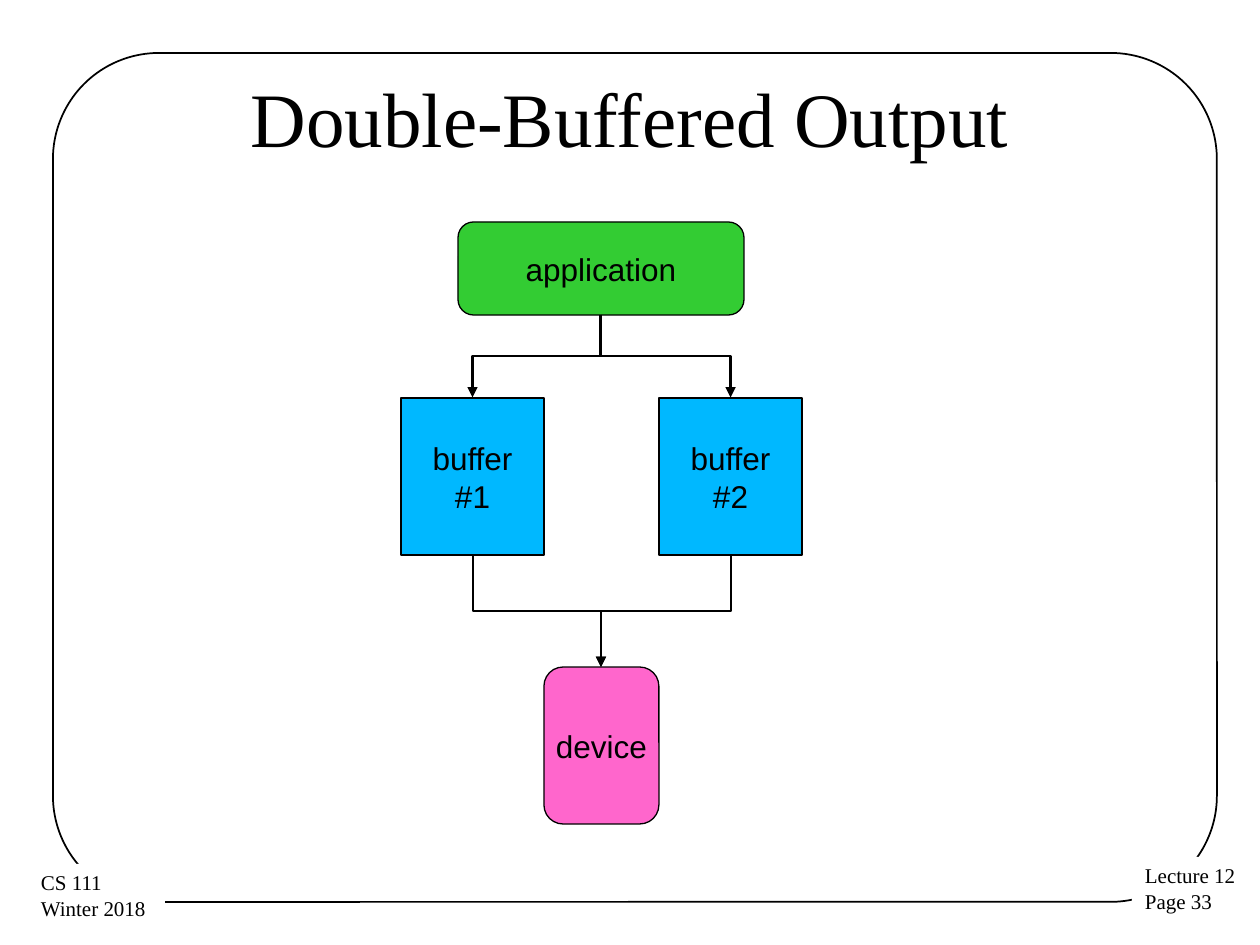
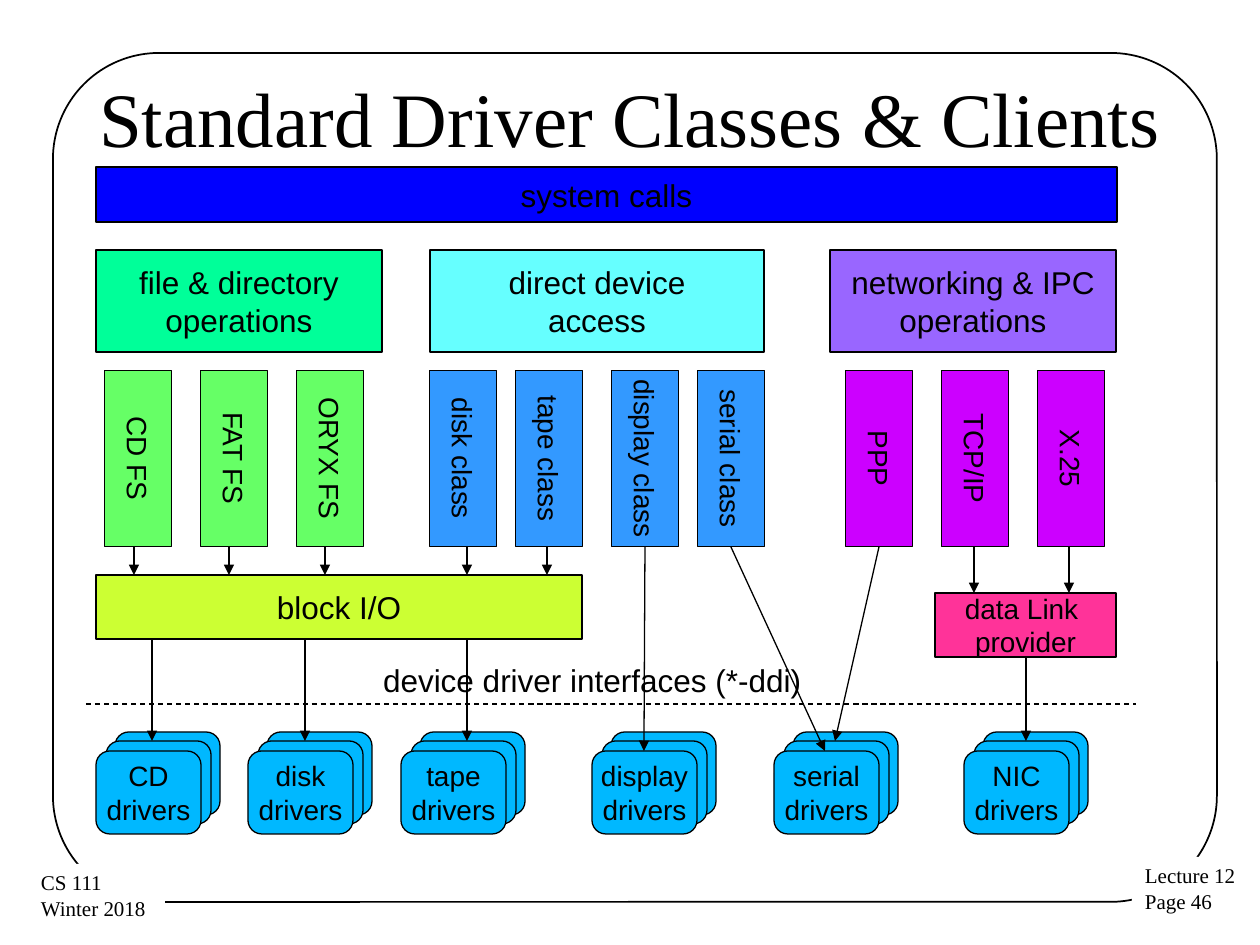
from pptx import Presentation
from pptx.dml.color import RGBColor
from pptx.enum.dml import MSO_LINE
from pptx.enum.shapes import MSO_CONNECTOR, MSO_SHAPE
from pptx.enum.text import MSO_ANCHOR, PP_ALIGN
from pptx.oxml.ns import qn
from pptx.util import Pt
from lxml.etree import SubElement

PX = 914400 // 126
SERIF, SANS = "Times New Roman", "Arial"
COLORS = {
    "ink": "000000", "paper": "FFFFFF", "buffer": "00B8FF",
    "application": "33CC33", "device": "FF66CC", "system": "0000FF",
    "files": "00FF99", "direct": "66FFFF", "network": "9966FF",
    "file system": "66FF66", "class": "3399FF", "protocol": "CC00FF",
    "block": "CCFF33", "link": "FF3399",
}
RECT, ROUND = MSO_SHAPE.RECTANGLE, MSO_SHAPE.ROUNDED_RECTANGLE


def add_box(slide, form, place, fill=None, lines=(), size=18, font=SANS, border=0.75,
            align=PP_ALIGN.CENTER, anchor=MSO_ANCHOR.MIDDLE, inset=(11, 5), turn=0):
    box = slide.shapes.add_shape(form, *[length * PX for length in place])
    box.shadow.inherit = False
    box.rotation = turn
    if fill:
        box.fill.solid()
        box.fill.fore_color.rgb = RGBColor.from_string(COLORS[fill])
    else:
        box.fill.background()
    if border:
        box.line.color.rgb = RGBColor.from_string(COLORS["ink"])
        box.line.width = Pt(border)
    else:
        box.line.fill.background()
    frame = box.text_frame
    frame.word_wrap = False
    frame.vertical_anchor = anchor
    frame.margin_left = frame.margin_right = inset[0] * PX
    frame.margin_top = frame.margin_bottom = inset[1] * PX
    for number, line in enumerate(lines):
        paragraph = frame.add_paragraph() if number else frame.paragraphs[0]
        paragraph.alignment = align
        run = paragraph.add_run()
        run.text = line
        run.font.size = Pt(size)
        run.font.name = font
        run.font.color.rgb = RGBColor.from_string(COLORS["ink"])
    return box


def add_link(slide, x1, y1, x2, y2, width=0.75, bent=False, arrow=True):
    kind = MSO_CONNECTOR.STRAIGHT
    ends = x1, y1, x2, y2
    if bent:
        kind = MSO_CONNECTOR.ELBOW
        run, drop = abs(x2 - x1), y2 - y1
        left, top = (x1 + x2 - drop) // 2, (y1 + y2 - run) // 2
        ends = left, top, left + drop, top + run
        if x2 > x1:
            ends = left + drop, top, left, top + run
    link = slide.shapes.add_connector(kind, *[length * PX for length in ends])
    properties = link._element.spPr
    if bent:
        degrees = 270 if x2 > x1 else 90
        properties.find(qn("a:xfrm")).set("rot", str(degrees * 60000))
    link.line.color.rgb = RGBColor.from_string(COLORS["ink"])
    link.line.width = Pt(width)
    if arrow:
        SubElement(properties.find(qn("a:ln")), qn("a:tailEnd"), type="triangle")
    SubElement(properties, qn("a:effectLst"))
    return link


deck = Presentation()
deck.slide_width, deck.slide_height = 1260 * PX, 945 * PX

slides = []
for title, page in (("Double-Buffered Output", 33), ("Standard Driver Classes & Clients", 46)):
    slide = deck.slides.add_slide(deck.slide_layouts[6])
    frame = add_box(slide, ROUND, (53, 53, 1164, 849), border=1)
    frame.adjustments[0] = 0.125
    for place, lines in (((1132, 857, 117, 64), ("Lecture 12", f"Page {page}")),
                         ((28, 864, 137, 64), ("CS 111", "Winter 2018 "))):
        add_box(slide, RECT, place, "paper", lines, 12, SERIF, 0,
                PP_ALIGN.LEFT, MSO_ANCHOR.TOP, (13, 6))
    add_box(slide, RECT, (63, 38, 1134, 157), None, [title], 44, SERIF, 0)
    slides.append(slide)
buffering, drivers = slides

add_box(buffering, ROUND, (458, 222, 286, 93), "application", ["application"])
add_box(buffering, ROUND, (544, 667, 115, 157), "device", ["device"])
for number, left in enumerate((401, 659), 1):
    add_box(buffering, RECT, (left, 398, 143, 157), "buffer", ["buffer", f"#{number}"])
    middle = left + 72
    add_link(buffering, 601, 315, middle, 398, 1.5, bent=True)
    add_link(buffering, middle, 555, 601, 667, 1.5, bent=True)

for place, fill, lines, size in (
    ((96, 167, 1021, 55), "system", ["system calls"], 18),
    ((96, 250, 286, 102), "files", ["file & directory", "operations"], 18),
    ((430, 250, 334, 102), "direct", ["direct device", "access"], 18),
    ((830, 250, 286, 102), "network", ["networking & IPC", "operations"], 18),
    ((96, 575, 486, 64), "block", ["block I/O"], 18),
    ((935, 593, 181, 64), "link", ["data Link ", "provider"], 16),
):
    add_box(drivers, RECT, place, fill, lines, size)

for fill, modules in (
    ("file system", (("CD FS", 50), ("FAT FS", 146), ("ORYX FS", 242))),
    ("class", (("disk class", 375), ("tape class", 461),
               ("display class", 557), ("serial class", 643))),
    ("protocol", (("PPP", 791), ("TCP/IP", 887), ("X.25", 983))),
):
    for label, left in modules:
        add_box(drivers, RECT, (left, 425, 176, 67), fill, [label], 16, turn=90)

for device, left in (("CD", 96), ("disk", 248), ("tape", 401),
                     ("display", 592), ("serial", 774), ("NIC", 964)):
    for shift in (19, 10, 0):
        lines = () if shift else (device, "drivers")
        add_box(drivers, ROUND, (left + shift, 751 - shift, 105, 83), "buffer", lines, 16)

boundary = add_link(drivers, 86, 704, 1136, 704, arrow=False)
boundary.line.dash_style = MSO_LINE.DASH
add_box(drivers, RECT, (372, 656, 459, 49), None, ["device driver interfaces (*-ddi)"],
        border=0, align=PP_ALIGN.LEFT, anchor=MSO_ANCHOR.TOP)

for x in (134, 229, 325, 467, 547):
    add_link(drivers, x, 547, x, 575)
for x in (152, 305, 467):
    add_link(drivers, x, 639, x, 741)
for x in (974, 1069):
    add_link(drivers, x, 547, x, 593)
for ends in ((1026, 657, 1026, 741), (879, 547, 835, 741),
             (731, 547, 825, 751), (645, 547, 644, 751)):
    add_link(drivers, *ends)

deck.save("out.pptx")
